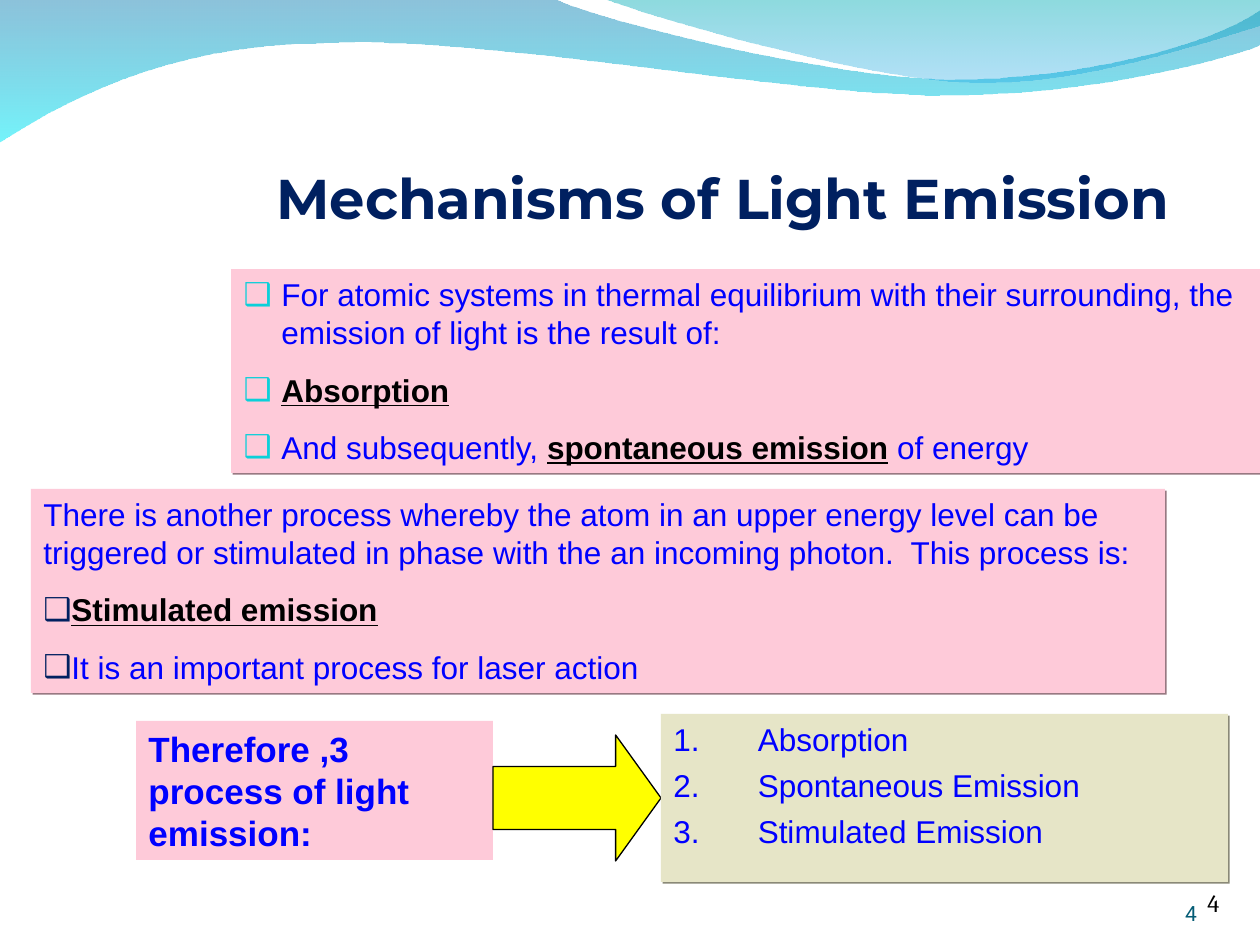
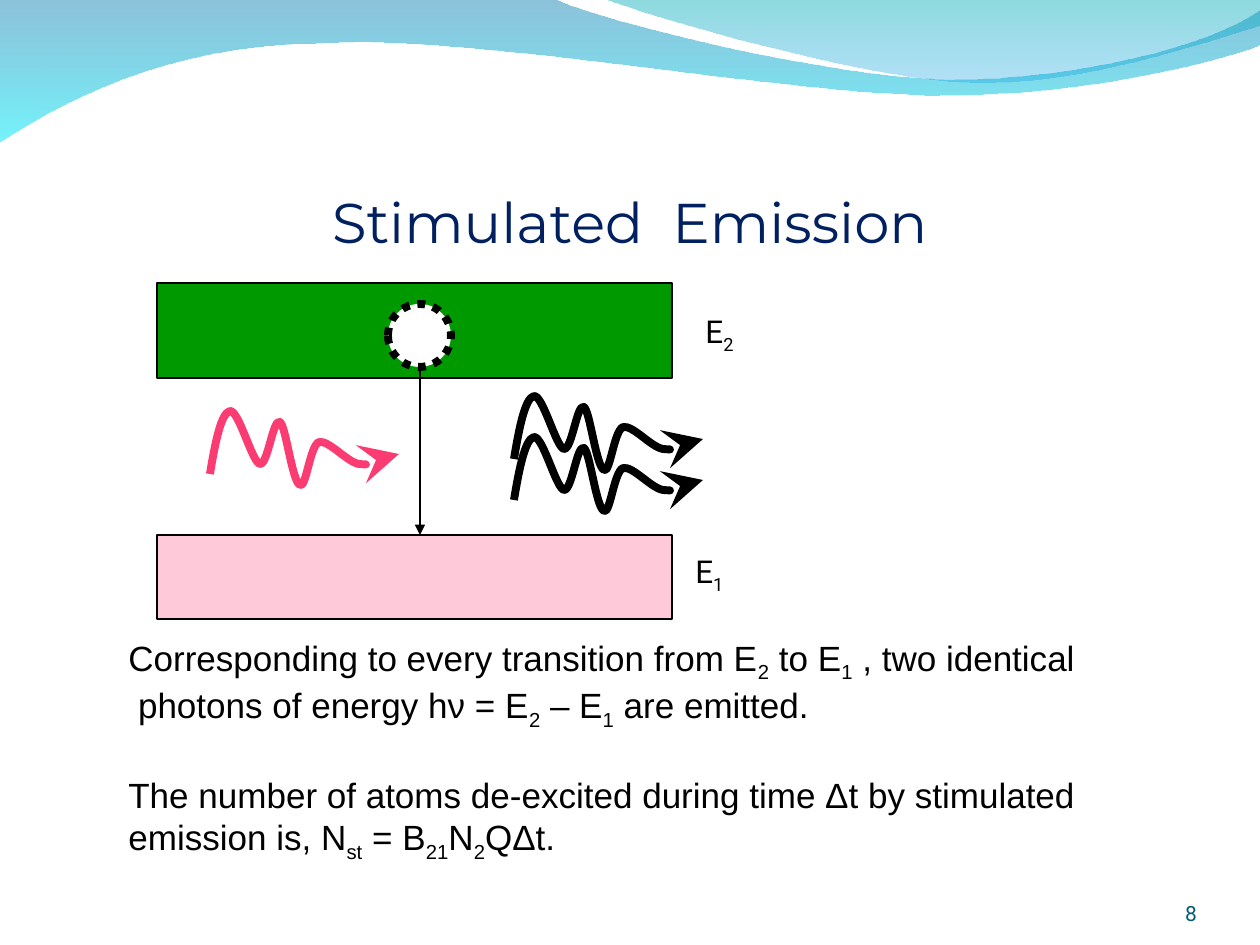
from lxml import etree
from pptx import Presentation, util as u
from pptx.dml import color as dml
from pptx.enum import dml as lines, shapes, text
from pptx.oxml import ns

PX = 914400 / 126
NAVY, TEAL, CYAN, BLUE, BLACK, WHITE = "002060", "045C75", "0BD0D9", "0000FF", "000000", "FFFFFF"
PINK, BEIGE, YELLOW, GREEN, ROSE = "FECAD9", "E6E5C7", "FFFF00", "009900", "FA3C72"
PINK_SHADE, BEIGE_SHADE = "987982", "8A8977"

# Outlines are a start point and then segments: one point for a line, three for a curve.
BACK_WAVE = [(0, -1), [(554, -1)],
             [(600, 21), (837, 79), (955, 79)], [(1075, 79), (1207, 47), (1260, 11)],
             [(1261, 45)], [(1239, 55), (1096, 96), (940, 95)],
             [(784, 95), (481, 35), (324, 43)], [(163, 44), (58, 105), (-1, 142)]]
FRONT_WAVE = [(604, -1), [(641, 14), (859, 78), (969, 82)],
              [(1079, 87), (1211, 40), (1260, 26)], [(1260, 0)]]
PHOTON = [(0, 0), [(5, -30), (11, -61), (20, -63)], [(29, -64), (42, -12), (50, -10)],
          [(58, -9), (63, -56), (70, -52)], [(76, -48), (82, 7), (90, 11)],
          [(96, 15), (100, -28), (109, -32)], [(119, -34), (137, -12), (149, -10)],
          [(163, -9), (176, -14), (189, -20)]]


def px(*lengths):
    return [u.Emu(round(length * PX)) for length in lengths]


def rgb(hex_colour):
    return dml.RGBColor.from_string(hex_colour)


def sub(parent, tag, **attributes):
    """Append a DrawingML element such as a:alpha and return it."""
    child = etree.SubElement(parent, ns.qn(tag))
    for name, value in attributes.items():
        child.set(name, str(value))
    return child


def paint(shape, fill, outline=None, weight=0.75):
    shape.shadow.inherit = False
    if fill:
        shape.fill.solid()
        shape.fill.fore_color.rgb = rgb(fill)
    else:
        shape.fill.background()
    if outline:
        shape.line.color.rgb = rgb(outline)
        shape.line.width = u.Pt(weight)
    else:
        shape.line.fill.background()


def cast_shadow(shape, colour):
    effects = shape.element.spPr.find(ns.qn("a:effectLst"))
    shadow = sub(effects, "a:outerShdw", dist=u.Pt(1.4), dir=45 * 60000, algn="ctr", rotWithShape=0)
    sub(shadow, "a:srgbClr", val=colour)


def add_arrowhead(line, end, kind, size):
    sub(line.line._get_or_add_ln(), end, type=kind, w=size, len=size)


def place(shape, box):
    shape.left, shape.top, shape.width, shape.height = px(*box)


def set_frame(frame, anchor=text.MSO_ANCHOR.TOP, insets=(0.1, 0.05, 0.1, 0.05)):
    frame.word_wrap = True
    frame.auto_size = text.MSO_AUTO_SIZE.NONE
    frame.vertical_anchor = anchor
    (frame.margin_left, frame.margin_top,
     frame.margin_right, frame.margin_bottom) = map(u.Inches, insets)


def emphasise(run):
    run.font.bold = run.font.underline = True
    run.font.color.rgb = rgb(BLACK)


def lower(run):
    run._r.get_or_add_rPr().set("baseline", "-25000")


def write(frame, paragraphs, font, size, colour, bold=False, before=0,
          align=text.PP_ALIGN.LEFT, mark=lower):
    """Fill the frame; pieces between bars are passed to mark."""
    for index, content in enumerate(paragraphs):
        paragraph = frame.add_paragraph() if index else frame.paragraphs[0]
        paragraph.alignment = align
        paragraph.space_before = u.Pt(before)
        paragraph.font.name = font
        paragraph.font.size = u.Pt(size)
        paragraph.font.bold = bold
        paragraph.font.color.rgb = rgb(colour)
        for position, piece in enumerate(content.split("|")):
            if piece:
                run = paragraph.add_run()
                run.text = piece
                if position % 2:
                    mark(run)


def hang(paragraph, indent):
    properties = paragraph._p.get_or_add_pPr()
    properties.set("marL", str(u.Inches(indent)))
    properties.set("indent", str(-u.Inches(indent)))
    return properties


def set_bullet(paragraph, indent, colour):
    properties = hang(paragraph, indent)
    tint = sub(properties, "a:buClr")
    sub(tint, "a:srgbClr", val=colour)
    bullet = [tint, sub(properties, "a:buFont", typeface="Arial"),
              sub(properties, "a:buChar", char="❑")]
    defaults = properties.find(ns.qn("a:defRPr"))
    for element in bullet:
        defaults.addprevious(element)


def add_text(slide, box, paragraphs, font, size, colour, fill=None, shade=None,
             anchor=text.MSO_ANCHOR.TOP, **style):
    label = slide.shapes.add_textbox(*px(*box))
    set_frame(label.text_frame, anchor)
    write(label.text_frame, paragraphs, font, size, colour, **style)
    if fill:
        paint(label, fill)
    if shade:
        cast_shadow(label, shade)
    return label


def set_title(slide, box, title, bold=False):
    place(slide.shapes.title, box)
    frame = slide.shapes.title.text_frame
    set_frame(frame, text.MSO_ANCHOR.BOTTOM, (0, 0.05, 0, 0))
    write(frame, [title], "Montserrat", 32, NAVY, bold, align=text.PP_ALIGN.CENTER)


def add_page_number(slide, number):
    label = add_text(slide, (1092, 876, 105, 50), [number], "Roboto", 12, TEAL,
                     align=text.PP_ALIGN.RIGHT)
    set_frame(label.text_frame, text.MSO_ANCHOR.BOTTOM, (0, 0, 0, 0))


def add_box(slide, kind, box, fill, outline=BLACK, weight=0.75):
    shape = slide.shapes.add_shape(kind, *px(*box))
    paint(shape, fill, outline, weight)
    return shape


def add_outline(slide, outline, origin=(0, 0), close=False):
    """Build a freeform through all points, then join each three-point segment into a curve."""
    start, *segments = outline
    points = [px(x + origin[0], y + origin[1])
              for x, y in [start, *(point for segment in segments for point in segment)]]
    builder = slide.shapes.build_freeform(*points[0])
    builder.add_line_segments(points[1:], close=close)
    shape = builder.convert_to_shape()
    steps = iter(list(shape.element.spPr.iter(ns.qn("a:lnTo"))))
    for segment in segments:
        corners = [next(steps) for _ in segment]
        if len(corners) == 3:
            curve = etree.Element(ns.qn("a:cubicBezTo"))
            corners[0].addprevious(curve)
            for corner in corners:
                curve.append(corner[0])
                corner.getparent().remove(corner)
    return shape


def add_photon(slide, start, colour):
    photon = add_outline(slide, PHOTON, start)
    paint(photon, None, colour, 4.5)
    add_arrowhead(photon, "a:tailEnd", "stealth", "lg")


def add_master_waves(prs, slide):
    """Draw the header waves on a slide and move them to the master."""
    waves = [(BACK_WAVE, (("0079AF", 45), ("00EBF8", 55))),
             (FRONT_WAVE, (("00ADB6", 45), ("009BE5", 30)))]
    for index, (outline, stops) in enumerate(waves):
        wave = add_outline(slide, outline, close=True)
        paint(wave, None)
        wave.fill.gradient()
        wave.fill.gradient_angle = 270
        for stop, (colour, _) in zip(wave.fill.gradient_stops, stops):
            stop.color.rgb = rgb(colour)
        for element, (_, opacity) in zip(wave.element.spPr.iter(ns.qn("a:srgbClr")), stops):
            sub(element, "a:alpha", val=opacity * 1000)
        wave.element.nvSpPr.cNvPr.set("id", str(100 + index))
        prs.slide_master.element.cSld.spTree.insert(2 + index, wave.element)


def build_mechanisms(slide):
    set_title(slide, (186, 29, 1074, 202), "Mechanisms of Light Emission", bold=True)
    add_page_number(slide, "4")

    equilibrium = slide.placeholders[1]
    place(equilibrium, (231, 269, 1029, 204))
    set_frame(equilibrium.text_frame)
    paint(equilibrium, PINK)
    cast_shadow(equilibrium, PINK_SHADE)
    write(equilibrium.text_frame,
          ["For atomic systems in thermal equilibrium with their surrounding, "
           "the emission of light is the result of:",
           "|Absorption|",
           "And subsequently, |spontaneous emission| of energy"],
          "Arial", 18, BLUE, before=11.2, mark=emphasise)
    for paragraph in equilibrium.text_frame.paragraphs:
        set_bullet(paragraph, 0.3, CYAN)

    add_text(slide, (970, 861, 262, 63), ["4"], "Cambria", 14, BLACK,
             anchor=text.MSO_ANCHOR.BOTTOM, align=text.PP_ALIGN.RIGHT)
    add_text(slide, (136, 721, 357, 139), ["Therefore ,3 process of light emission:"],
             "Arial", 20, BLUE, PINK, bold=True, before=12.5)
    arrow = add_box(slide, shapes.MSO_SHAPE.RIGHT_ARROW, (493, 735, 168, 126), YELLOW)
    arrow.adjustments[1] = 0.36

    processes = add_text(slide, (661, 714, 567, 168),
                         ["1. \tAbsorption", "2. \tSpontaneous Emission", "3.\tStimulated Emission"],
                         "Arial", 18, BLUE, BEIGE, BEIGE_SHADE, before=4.5)
    for paragraph in processes.text_frame.paragraphs:
        hang(paragraph, 0.67)

    stimulated = add_text(
        slide, (31, 489, 1134, 204),
        ["There is another process whereby the atom in an upper energy level can be triggered "
         "or stimulated in phase with the an incoming photon.  This process is:",
         "|Stimulated emission|",
         "It is an important process for laser action"],
        "Arial", 18, BLUE, PINK, PINK_SHADE, before=11.2, mark=emphasise)
    for paragraph in stimulated.text_frame.paragraphs[1:]:
        set_bullet(paragraph, 0, NAVY)


def build_stimulated(slide):
    set_title(slide, (63, 97, 1134, 158), "Stimulated  Emission")
    add_page_number(slide, "8")

    add_box(slide, shapes.MSO_SHAPE.RECTANGLE, (157, 283, 515, 95), GREEN)
    add_box(slide, shapes.MSO_SHAPE.RECTANGLE, (157, 535, 515, 84), PINK)
    atom = add_box(slide, shapes.MSO_SHAPE.OVAL, (388, 304, 63, 63), WHITE, weight=4.5)
    atom.line.dash_style = lines.MSO_LINE.ROUND_DOT

    transition = slide.shapes.add_connector(shapes.MSO_CONNECTOR.STRAIGHT,
                                            *px(420, 535, 420, 368))
    transition.line.color.rgb = rgb(BLACK)
    transition.line.width = u.Pt(0.75)
    add_arrowhead(transition, "a:headEnd", "triangle", "med")
    sub(transition.element.spPr, "a:effectLst")

    for start, colour in [((514, 459), BLACK), ((210, 474), ROSE), ((514, 500), BLACK)]:
        add_photon(slide, start, colour)

    explanation = add_text(
        slide, (116, 630, 1018, 241),
        ["Corresponding to every transition from E|2| to E|1| , two identical",
         " photons of energy hν = E|2| – E|1| are emitted.",
         "The number of atoms de-excited during time Δt by stimulated emission is, "
         "N|st| = B|21|N|2|QΔt."],
        "Arial", 20, BLACK)
    explanation.text_frame.paragraphs[2].space_before = u.Pt(24)

    for box, level in [((693, 306, 262, 55), "E|2|"), ((683, 546, 262, 55), "E|1|")]:
        add_text(slide, box, [level], "Roboto", 18, BLACK, before=11.2)


def main():
    prs = Presentation()
    prs.slide_width, prs.slide_height = px(1260, 945)
    mechanisms = prs.slides.add_slide(prs.slide_layouts[1])
    stimulated = prs.slides.add_slide(prs.slide_layouts[5])
    add_master_waves(prs, mechanisms)
    build_mechanisms(mechanisms)
    build_stimulated(stimulated)
    prs.save("out.pptx")


if __name__ == "__main__":
    main()
